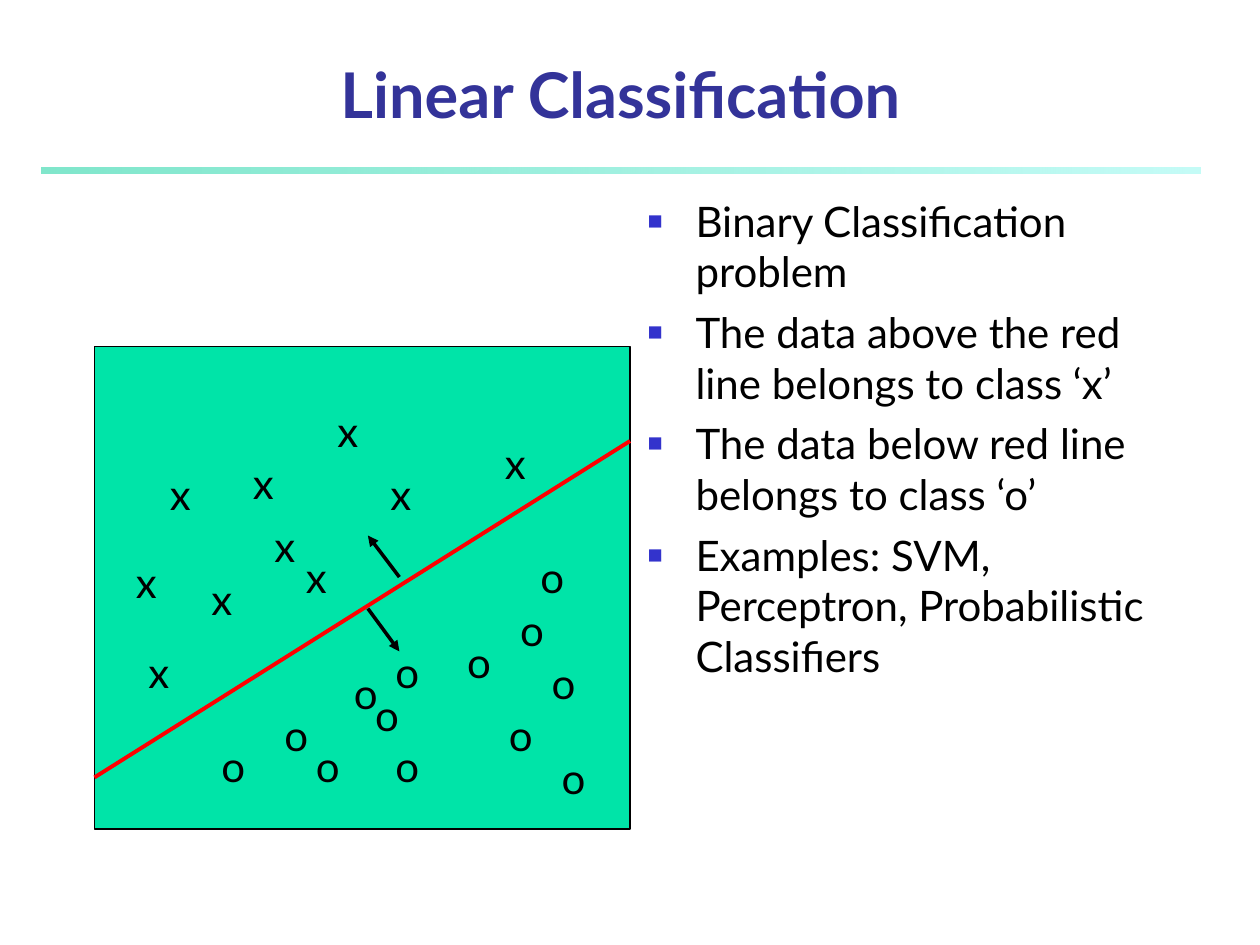
import pptx
import pptx.util
import pptx.dml.color
import pptx.enum.shapes
import pptx.enum.text
import pptx.oxml.ns
import lxml.etree

Inches = pptx.util.Inches
Pt = pptx.util.Pt
qn = pptx.oxml.ns.qn
Anchor = pptx.enum.text.MSO_ANCHOR
Align = pptx.enum.text.PP_ALIGN
Fit = pptx.enum.text.MSO_AUTO_SIZE
Shape = pptx.enum.shapes.MSO_SHAPE

HUES = {
    "title": "333399",
    "text": "000000",
    "bullet": "3333CC",
    "plot": "00E4A8",
    "split": "FF0000",
    "left": "00CE98",
    "right": "8FF9EF",
}
TITLE = {"size": Pt(36), "bold": True, "name": "Lato"}
TEXT = {"size": Pt(24), "bold": False, "name": "Lato"}

POINTS = [
    "Binary Classification problem",
    "The data above the red line belongs to class ‘x’",
    "The data below red line belongs to class ‘o’",
    "Examples: SVM, Perceptron, Probabilistic Classifiers",
]
MARKS = {
    "x": (0.37, [(0.98, 4.37), (3.91, 3.42), (1.91, 3.58), (2.33, 4.33), (3, 3.67),
                 (1.25, 3.67), (1.58, 4.5), (2.58, 3.17), (2.08, 4.08), (1.08, 5.08)]),
    "o": (0.4, [(2.71, 5.25), (2.88, 5.42), (3.04, 5.08), (2.16, 5.58), (3.04, 5.83),
                (3.94, 5.58), (4.19, 4.33), (3.61, 5), (1.66, 5.83), (2.41, 5.83),
                (4.28, 5.17), (4.03, 4.75), (4.36, 5.92)]),
}


def rgb(hue):
    return pptx.dml.color.RGBColor.from_string(HUES[hue])


def add(node, tag, **attrs):
    return lxml.etree.SubElement(node, qn(tag), attrs)


class Deck:
    def __init__(self, wide, high):
        self.file = pptx.Presentation()
        self.file.slide_width = Inches(wide)
        self.file.slide_height = Inches(high)
        self.slide = self.file.slides.add_slide(self.file.slide_layouts[1])

    def place(self, shape, box):
        for name, value in zip(("left", "top", "width", "height"), box):
            setattr(shape, name, Inches(value))

    def style(self, para, form, hue):
        for name, value in form.items():
            setattr(para.font, name, value)
        para.font.color.rgb = rgb(hue)

    def title(self, words, box):
        shape = self.slide.shapes.title
        self.place(shape, box)
        frame = shape.text_frame
        frame.text = words
        frame.auto_size = Fit.NONE
        frame.vertical_anchor = Anchor.BOTTOM
        para = frame.paragraphs[0]
        para.alignment = Align.CENTER
        self.style(para, TITLE, "title")

    def list(self, items, box):
        shape = self.slide.placeholders[1]
        self.place(shape, box)
        frame = shape.text_frame
        frame.text = "\n".join(items)
        frame.auto_size = Fit.NONE
        for rank, para in enumerate(frame.paragraphs):
            para.space_before = Pt(6 if rank else 0)
            props = para._p.get_or_add_pPr()
            props.set("marL", str(Inches(0.38)))
            props.set("indent", str(Inches(-0.38)))
            add(add(props, "a:buClr"), "a:srgbClr", val=HUES["bullet"])
            add(props, "a:buSzPct", val="60000")
            add(props, "a:buChar", char="■")
            self.style(para, TEXT, "text")

    def rect(self, box):
        shape = self.slide.shapes.add_shape(Shape.RECTANGLE, *map(Inches, box))
        shape.shadow.inherit = False
        return shape

    def bar(self, box):
        shape = self.rect(box)
        shape.line.fill.background()
        shape.fill.gradient()
        shape.fill.gradient_angle = 0
        for stop, hue in zip(shape.fill.gradient_stops, ("left", "right")):
            stop.color.rgb = rgb(hue)
        tones = shape._element.spPr.iter(qn("a:srgbClr"))
        for tone, alpha in zip(tones, ("50000", "52000")):
            add(tone, "a:alpha", val=alpha)

    def plot(self, box):
        shape = self.rect(box)
        shape.fill.solid()
        shape.fill.fore_color.rgb = rgb("plot")
        shape.line.color.rgb = rgb("text")
        shape.line.width = Pt(0.75)

    def line(self, ends, hue, width, arrow=False):
        kind = pptx.enum.shapes.MSO_CONNECTOR.STRAIGHT
        line = self.slide.shapes.add_connector(kind, *map(Inches, ends))
        line.line.color.rgb = rgb(hue)
        line.line.width = Pt(width)
        if arrow:
            add(line.line._get_or_add_ln(), "a:tailEnd", type="triangle")
        add(line._element.spPr, "a:effectLst")

    def mark(self, sign, box):
        frame = self.slide.shapes.add_textbox(*map(Inches, box)).text_frame
        frame.text = sign
        frame.word_wrap = False
        frame.auto_size = Fit.SHAPE_TO_FIT_TEXT
        self.style(frame.paragraphs[0], TEXT, "text")


def main():
    deck = Deck(10, 7.5)
    deck.bar((0.33, 1.33, 9.2, 0.05))
    deck.title("Linear Classification", (0.33, 0.42, 9.19, 0.67))
    deck.list(POINTS, (5.04, 1.5, 4.54, 5.58))
    deck.plot((0.75, 2.75, 4.25, 3.83))
    deck.line((0.75, 6.17, 5, 3.5), "split", 2.25)
    for sign, (wide, spots) in MARKS.items():
        for left, top in spots:
            deck.mark(sign, (left, top, wide, 0.5))
    deck.line((3.17, 4.58, 2.92, 4.25), "text", 2, arrow=True)
    deck.line((2.92, 4.83, 3.17, 5.17), "text", 2, arrow=True)
    deck.file.save("out.pptx")


if __name__ == "__main__":
    main()
